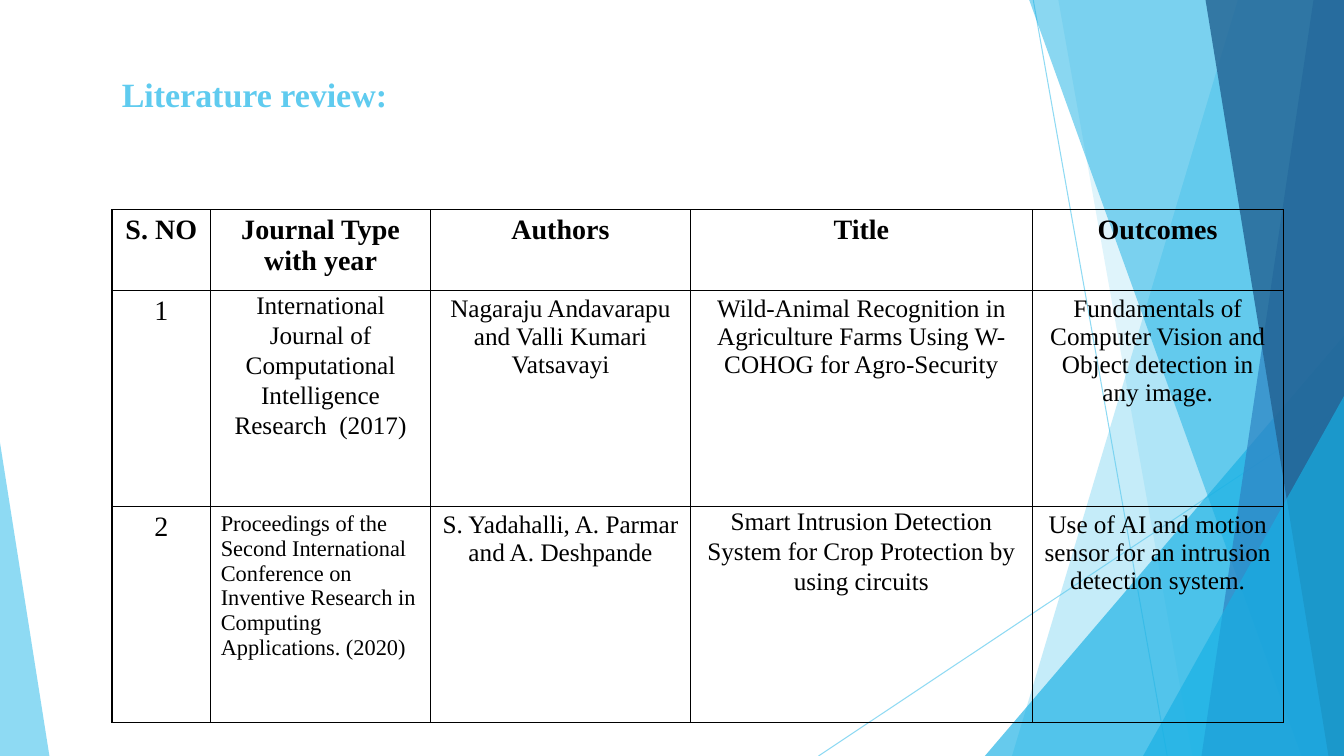
from lxml.etree import SubElement
from pptx import Presentation
from pptx.dml.color import RGBColor
from pptx.enum.shapes import MSO_CONNECTOR, MSO_SHAPE
from pptx.enum.text import MSO_ANCHOR, PP_ALIGN
from pptx.oxml.ns import qn
from pptx.util import Inches, Pt

WIDTH, HEIGHT = Inches(13.333), Inches(7.5)
FONT = "Times New Roman"
COLOURS = {"sky": "5FCBEF", "cyan": "17B0E4", "blue": "2E83C3",
           "navy": "226292", "black": "000000"}

COLUMN_SHARES = (0.98, 2.18, 2.58, 3.39, 2.49)
ROW_SHARES = (0.8, 2.14, 2.14)
HEADINGS = ("S. NO", "Journal Type with year", "Authors", "Title", "Outcomes")
REVIEWS = (
    ("1",
     "International Journal of Computational Intelligence Research  (2017)",
     "Nagaraju Andavarapu and Valli Kumari Vatsavayi",
     "Wild-Animal Recognition in Agriculture Farms Using W-COHOG for Agro-Security",
     "Fundamentals of Computer Vision and Object detection in any image."),
    ("2",
     "Proceedings of the Second International Conference on Inventive Research "
     "in Computing Applications. (2020)",
     "S. Yadahalli, A. Parmar and A. Deshpande",
     "Smart Intrusion Detection System for Crop Protection by using circuits",
     "Use of AI and motion sensor for an intrusion detection system."),
)
LOOSE_CELLS = {(1, 1), (2, 3)}
SMALL_CELL = (2, 1)


def across(percent):
    return round(WIDTH * percent / 100)


def down(percent):
    return round(HEIGHT * percent / 100)


def colour(name):
    return RGBColor.from_string(COLOURS[name])


def set_opacity(fill_element, percent):
    colour_element = fill_element.find(".//" + qn("a:srgbClr"))
    SubElement(colour_element, qn("a:alpha"), val=str(percent * 1000))


def paint(shape, name, opacity):
    shape.shadow.inherit = False
    shape.line.fill.background()
    shape.fill.solid()
    shape.fill.fore_color.rgb = colour(name)
    set_opacity(shape._element.spPr.find(qn("a:solidFill")), opacity)


def add_ray(slide, start, end):
    ray = slide.shapes.add_connector(
        MSO_CONNECTOR.STRAIGHT, across(start[0]), down(start[1]),
        across(end[0]), down(end[1]))
    ray.line.width = Pt(0.75)
    ray.line.color.rgb = colour("sky")
    properties = ray._element.spPr
    set_opacity(properties.find(qn("a:ln")), 70)
    SubElement(properties, qn("a:effectLst"))


def add_facet(slide, top_left, bottom_left, name, opacity):
    builder = slide.shapes.build_freeform(across(top_left), 0)
    builder.add_line_segments(
        [(WIDTH, 0), (WIDTH, HEIGHT), (across(bottom_left), HEIGHT)], close=True)
    paint(builder.convert_to_shape(), name, opacity)


def add_corner(slide, left, top, width, apex, name, opacity):
    triangle = slide.shapes.add_shape(
        MSO_SHAPE.ISOSCELES_TRIANGLE, across(left), down(top),
        across(width), HEIGHT - down(top))
    triangle.adjustments[0] = apex
    paint(triangle, name, opacity)


def add_backdrop(slide):
    add_ray(slide, (76.88, 0), (86.85, 100))
    add_ray(slide, (100, 53.73), (60.9, 100))
    add_facet(slide, 92.1, 75.3, "sky", 36)
    add_facet(slide, 78.75, 88.73, "sky", 20)
    add_corner(slide, 73.28, 44.4, 26.72, 1, "cyan", 66)
    add_facet(slide, 76.58, 96.83, "cyan", 50)
    add_facet(slide, 97.73, 89.4, "blue", 70)
    add_facet(slide, 89.7, 98.85, "navy", 80)
    add_corner(slide, 85.05, 52.4, 14.95, 1, "cyan", 66)
    add_corner(slide, 0, 58.53, 3.68, 0, "sky", 70)


def format_paragraph(paragraph, size, name, bold):
    for run in paragraph.runs:
        run.font.name = FONT
        run.font.size = Pt(size)
        run.font.bold = bold
        run.font.color.rgb = colour(name)


def add_title(slide, text):
    box = slide.shapes.add_textbox(across(8.33), down(9.07), across(22.9), down(13.6))
    box.text_frame.word_wrap = True
    box.text_frame.text = text
    format_paragraph(box.text_frame.paragraphs[0], 24.3, "sky", True)


def outline_cell(cell):
    properties = cell._tc.get_or_add_tcPr()
    for side in ("a:lnL", "a:lnR", "a:lnT", "a:lnB"):
        border = SubElement(properties, qn(side), w=str(Pt(1)))
        fill = SubElement(border, qn("a:solidFill"))
        SubElement(fill, qn("a:srgbClr"), val=COLOURS["black"])
    cell.fill.background()


def fill_cell(cell, text, row, column):
    outline_cell(cell)
    cell.vertical_anchor = MSO_ANCHOR.TOP
    cell.text_frame.text = text
    paragraph = cell.text_frame.paragraphs[0]
    small = (row, column) == SMALL_CELL
    paragraph.alignment = PP_ALIGN.LEFT if small else PP_ALIGN.CENTER
    size = 16 if small else 20 if row == 0 or column == 0 else 18
    format_paragraph(paragraph, size, "black", row == 0)
    if (row, column) in LOOSE_CELLS:
        paragraph.line_spacing = 1.07
        cell.margin_left = cell.margin_right = Inches(0.07)
        cell.margin_top = cell.margin_bottom = 0


def add_review_table(slide):
    rows = (HEADINGS, *REVIEWS)
    width, height = across(87.15), down(67.8)
    table = slide.shapes.add_table(
        len(rows), len(HEADINGS), across(8.33), down(27.73), width, height).table
    table.first_row = False
    table.horz_banding = False
    for column, share in zip(table.columns, COLUMN_SHARES):
        column.width = round(width * share / sum(COLUMN_SHARES))
    for row, share in zip(table.rows, ROW_SHARES):
        row.height = round(height * share / sum(ROW_SHARES))
    for row, texts in enumerate(rows):
        for column, text in enumerate(texts):
            fill_cell(table.cell(row, column), text, row, column)


def main():
    presentation = Presentation()
    presentation.slide_width, presentation.slide_height = WIDTH, HEIGHT
    slide = presentation.slides.add_slide(presentation.slide_layouts[6])
    add_backdrop(slide)
    add_title(slide, "Literature review:")
    add_review_table(slide)
    presentation.save("out.pptx")


if __name__ == "__main__":
    main()
